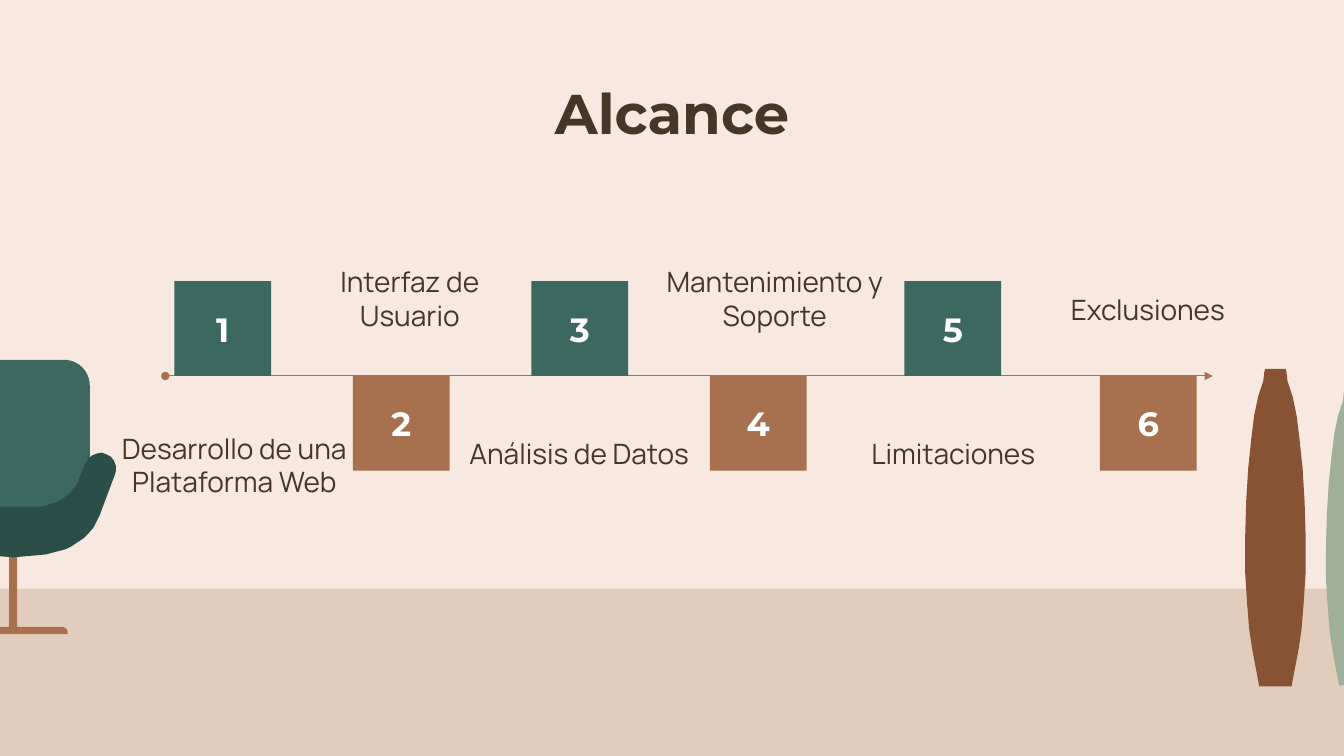
from lxml import etree
from pptx import Presentation
from pptx.dml.color import RGBColor
from pptx.enum.shapes import MSO_CONNECTOR, MSO_SHAPE as Shape
from pptx.enum.text import MSO_ANCHOR as Anchor, PP_ALIGN as Align
from pptx.oxml.ns import qn
from pptx.util import Inches, Pt

# Content: step label, left of its square, left and top of its label
TITLE = "Alcance"
STEPS = [
    ("Desarrollo de una Plataforma Web", 1.73, 1.04, 4.06),
    ("Interfaz de Usuario", 3.5, 2.78, 2.41),
    ("Análisis de Datos", 5.27, 4.46, 3.95),
    ("Mantenimiento y Soporte", 7.04, 6.4, 2.41),
    ("Limitaciones", 8.97, 8.17, 3.95),
    ("Exclusiones", 10.91, 10.1, 2.52),
]

# Colours
CREAM = RGBColor(0xF7, 0xE9, 0xDF)
FLOOR = RGBColor(0xE2, 0xCD, 0xBC)
BROWN = RGBColor(0x87, 0x53, 0x34)
SAGE = RGBColor(0xA0, 0xAF, 0x98)
GREEN = RGBColor(0x3C, 0x68, 0x60)
DARK_GREEN = RGBColor(0x2C, 0x4E, 0x49)
COPPER = RGBColor(0xA7, 0x71, 0x4F)
INK = RGBColor(0x47, 0x35, 0x27)
WHITE = RGBColor(0xFF, 0xFF, 0xFF)

# Geometry in inches
WIDTH, HEIGHT = 13.33, 7.5
FLOOR_TOP = 5.84
AXIS_Y, AXIS_START, AXIS_END = 3.73, 1.64, 12.03
SQUARE_W, SQUARE_H = 0.96, 0.94
LABEL_W, LABEL_H = 2.57, 1.1
INSET = 0.13

# Right-hand halves of the symmetric outlines
VASE = [  # half width and depth, for the large vase
    (0.1, 0), (0.11, 0.03), (0.12, 0.12), (0.17, 0.27), (0.21, 0.46),
    (0.24, 0.7), (0.27, 0.99), (0.29, 1.32), (0.3, 1.67), (0.3, 2.02),
    (0.28, 2.33), (0.26, 2.58), (0.23, 2.78), (0.2, 2.94), (0.16, 3.15),
]
VASES = [(12.65, 3.66, 1, BROWN), (13.43, 3.87, 0.93, SAGE)]
CHAIR_X = 0.13
FOOT = [(0.47, 6.22), (0.5, 6.22), (0.53, 6.24), (0.54, 6.26), (0.54, 6.29)]
SEAT = [
    (0.26, 5.03), (0.34, 5.01), (0.41, 4.99), (0.47, 4.96), (0.53, 4.92),
    (0.58, 4.87), (0.63, 4.81), (0.66, 4.74), (0.71, 4.61), (0.74, 4.56),
    (0.78, 4.52), (0.83, 4.5), (0.88, 4.49), (0.93, 4.51), (0.97, 4.53),
    (1, 4.57), (1.02, 4.62), (1.02, 4.67), (1.01, 4.71), (0.86, 5.11),
    (0.83, 5.17), (0.8, 5.23), (0.75, 5.29), (0.7, 5.34), (0.64, 5.38),
    (0.58, 5.42), (0.52, 5.45), (0.44, 5.47), (0.33, 5.5), (0.22, 5.51),
    (0.11, 5.52), (0, 5.53),
]


def paint(shape, color):
    shape.shadow.inherit = False
    shape.fill.solid()
    shape.fill.fore_color.rgb = color
    shape.line.fill.background()


def add_block(kind, left, top, width, height, color):
    block = slide.shapes.add_shape(kind, *map(Inches, (left, top, width, height)))
    paint(block, color)
    return block


def add_mirrored(half, axis, color):
    outline = [(axis + x, y) for x, y in half]
    outline += [(axis - x, y) for x, y in reversed(half)]
    points = [(Inches(x), Inches(y)) for x, y in outline]
    builder = slide.shapes.build_freeform(*points[0], scale=1.0)
    builder.add_line_segments(points[1:], close=True)
    paint(builder.convert_to_shape(), color)


def write(box, text, *, size, font, color, bold=False, anchor=Anchor.MIDDLE):
    frame = box.text_frame
    frame.word_wrap = True
    frame.vertical_anchor = anchor
    frame.margin_left = frame.margin_right = Inches(INSET)
    frame.margin_top = frame.margin_bottom = Inches(INSET)
    para = frame.paragraphs[0]
    para.alignment = Align.CENTER
    span = para.add_run()
    span.text = text
    span.font.size = Pt(size)
    span.font.name = font
    span.font.bold = bold
    span.font.color.rgb = color


def add_text(left, top, width, height, text, **style):
    box = slide.shapes.add_textbox(*map(Inches, (left, top, width, height)))
    write(box, text, **style)


deck = Presentation()
deck.slide_width, deck.slide_height = Inches(WIDTH), Inches(HEIGHT)
slide = deck.slides.add_slide(deck.slide_layouts[6])
slide.background.fill.solid()
slide.background.fill.fore_color.rgb = CREAM

# Floor and vases
add_block(Shape.RECTANGLE, 0, FLOOR_TOP, WIDTH, HEIGHT - FLOOR_TOP, FLOOR)
for axis, top, scale, color in VASES:
    add_mirrored([(x * scale, top + y * scale) for x, y in VASE], axis, color)

# Armchair
back = add_block(Shape.ROUND_2_SAME_RECTANGLE, -0.63, 3.57, 1.52, 1.52, GREEN)
back.adjustments[0], back.adjustments[1] = 0.167, 0
add_block(Shape.RECTANGLE, 0.09, 5.32, 0.08, 0.95, COPPER)
add_mirrored(FOOT, CHAIR_X, COPPER)
add_mirrored(SEAT, CHAIR_X, DARK_GREEN)

# Title
add_text(1.04, 0.65, 11.25, 0.83, TITLE, size=40, font="Montserrat",
         color=INK, bold=True, anchor=Anchor.TOP)

# Timeline axis
axis_line = slide.shapes.add_connector(
    MSO_CONNECTOR.STRAIGHT,
    *map(Inches, (AXIS_START, AXIS_Y, AXIS_END, AXIS_Y)))
axis_line.line.color.rgb = COPPER
axis_line.line.width = Pt(0.75)
stroke = axis_line.line._get_or_add_ln()
for tag, ending in (("a:headEnd", "oval"), ("a:tailEnd", "triangle")):
    etree.SubElement(stroke, qn(tag), type=ending)
etree.SubElement(axis_line._element.spPr, qn("a:effectLst"))

# Steps: odd squares stand on the axis, even ones hang below it
for number, (label, square_left, label_left, label_top) in enumerate(STEPS, 1):
    above = number % 2 == 1
    square = add_block(Shape.RECTANGLE, square_left,
                       AXIS_Y - SQUARE_H if above else AXIS_Y,
                       SQUARE_W, SQUARE_H, GREEN if above else COPPER)
    write(square, str(number), size=24, font="Montserrat", color=WHITE, bold=True)
    add_text(label_left, label_top, LABEL_W, LABEL_H, label,
             size=20, font="Manrope", color=INK)

deck.save("out.pptx")
